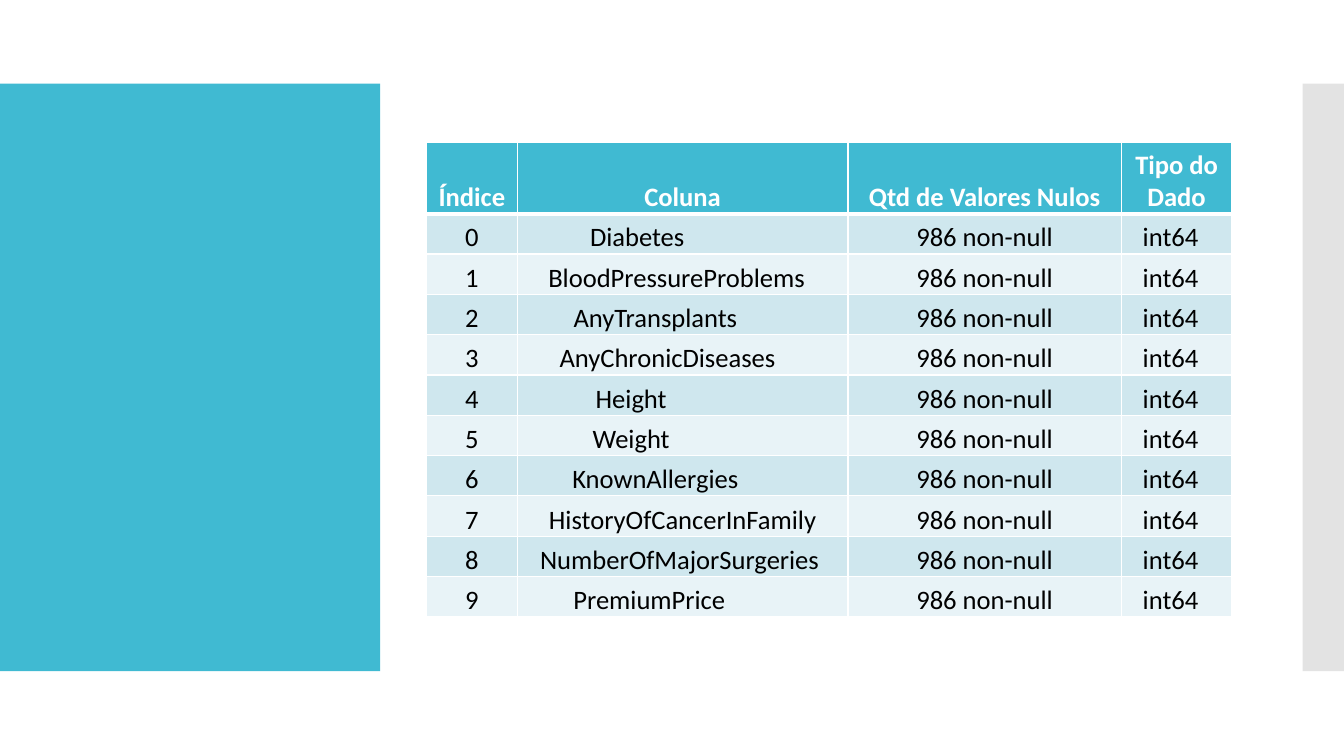
from dataclasses import dataclass

from lxml.etree import SubElement
from pptx import Presentation
from pptx.dml.color import RGBColor
from pptx.enum.shapes import MSO_SHAPE as Shape
from pptx.enum.text import MSO_ANCHOR as Anchor, PP_ALIGN as Align
from pptx.oxml.ns import qn
from pptx.util import Inches, Pt


@dataclass(frozen=True)
class Theme:
    font: str = "Calibri"
    text_size: float = 19
    accent: str = "40BAD2"
    side_gray: str = "C8C8C8"
    white: str = "FFFFFF"
    black: str = "000000"
    bands: tuple = ("CFE7EE", "E8F3F7")
    thin_line: float = 1
    thick_line: float = 3
    cell_inset: float = 0.01
    space_width: float = 0.06


HEADERS = ("Índice", "Coluna", "Qtd de Valores Nulos", "Tipo do Dado")
FIELDS = ("Diabetes", "BloodPressureProblems", "AnyTransplants",
          "AnyChronicDiseases", "Height", "Weight", "KnownAllergies",
          "HistoryOfCancerInFamily", "NumberOfMajorSurgeries", "PremiumPrice")
COLUMN_WIDTHS = (0.9, 3.28, 2.71, 1.1)
# Characters reserved per column; shorter names sit left of centre.
COLUMN_CHARACTERS = (0, 23, 0, 7)
HEADER_HEIGHT, ROW_HEIGHT = 0.71, 0.4


def set_values(target, values):
    for name, value in values.items():
        setattr(target, name, value)


class SlideBuilder:
    def __init__(self, slide, theme):
        self.slide = slide
        self.theme = theme

    def panel(self, left, top, width, height, color, opacity=100):
        shape = self.slide.shapes.add_shape(
            Shape.RECTANGLE, *map(Inches, (left, top, width, height)))
        shape.shadow.inherit = False
        shape.line.fill.background()
        shape.fill.solid()
        shape.fill.fore_color.rgb = RGBColor.from_string(color)
        if opacity < 100:
            color_element = shape.fill._xPr.find(".//" + qn("a:srgbClr"))
            SubElement(color_element, qn("a:alpha"), val=str(opacity * 1000))

    def borders(self, cell, row):
        theme = self.theme
        widths = {side: theme.thin_line for side in "LRTB"}
        if row < 2:
            widths["B" if row == 0 else "T"] = theme.thick_line
        for side, width in widths.items():
            line = SubElement(cell._tc.get_or_add_tcPr(), qn(f"a:ln{side}"),
                              w=str(Pt(width)))
            fill = SubElement(line, qn("a:solidFill"))
            SubElement(fill, qn("a:srgbClr"), val=theme.white)

    def cell(self, cell, text, row, reserved):
        theme = self.theme
        header = row == 0
        padding = 0 if header else max(0, reserved - len(text)) * theme.space_width
        self.borders(cell, row)
        cell.fill.solid()
        cell.fill.fore_color.rgb = RGBColor.from_string(
            theme.accent if header else theme.bands[(row - 1) % 2])
        set_values(cell, {
            "vertical_anchor": Anchor.BOTTOM,
            "margin_left": Inches(theme.cell_inset),
            "margin_right": Inches(theme.cell_inset + padding),
            "margin_top": Inches(theme.cell_inset),
            "margin_bottom": 0,
        })
        paragraph = cell.text_frame.paragraphs[0]
        paragraph.alignment = Align.CENTER
        run = paragraph.add_run()
        run.text = text
        set_values(run.font, {"name": theme.font, "size": Pt(theme.text_size),
                              "bold": header})
        run.font.color.rgb = RGBColor.from_string(
            theme.white if header else theme.black)

    def table(self, left, top, rows):
        height = HEADER_HEIGHT + ROW_HEIGHT * (len(rows) - 1)
        table = self.slide.shapes.add_table(
            len(rows), len(COLUMN_WIDTHS), Inches(left), Inches(top),
            Inches(sum(COLUMN_WIDTHS)), Inches(height)).table
        for column, width in zip(table.columns, COLUMN_WIDTHS):
            column.width = Inches(width)
        for index, texts in enumerate(rows):
            table.rows[index].height = Inches(ROW_HEIGHT if index else HEADER_HEIGHT)
            for column, (text, reserved) in enumerate(zip(texts, COLUMN_CHARACTERS)):
                self.cell(table.cell(index, column), text, index, reserved)


def main():
    presentation = Presentation()
    set_values(presentation, {"slide_width": Inches(13.33),
                              "slide_height": Inches(7.5)})
    theme = Theme()
    blank_layout = presentation.slide_layouts[6]
    builder = SlideBuilder(presentation.slides.add_slide(blank_layout), theme)
    builder.panel(0, 0.83, 3.77, 5.83, theme.accent)
    builder.panel(12.92, 0.83, 0.41, 5.83, theme.side_gray, opacity=50)
    rows = [HEADERS] + [(str(index), field, "986 non-null", "int64")
                        for index, field in enumerate(FIELDS)]
    builder.table(4.23, 1.41, rows)
    presentation.save("out.pptx")


if __name__ == "__main__":
    main()
